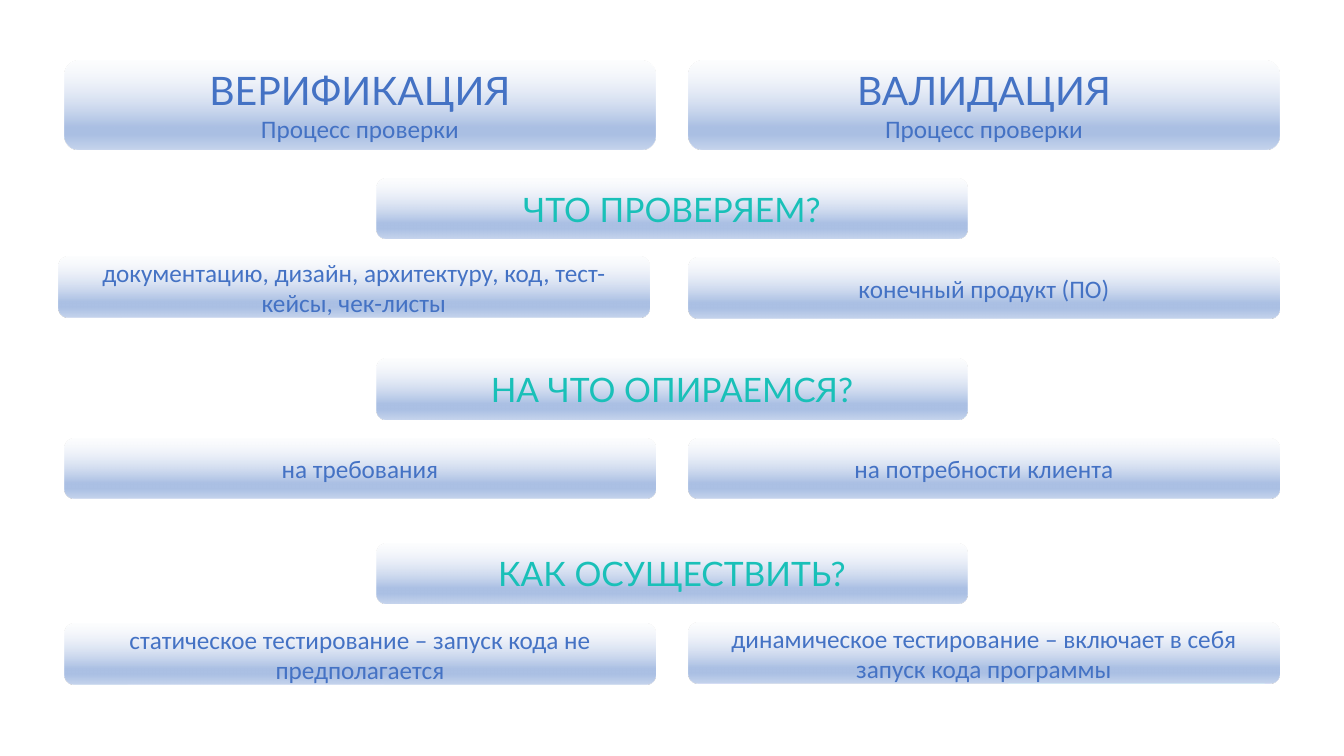
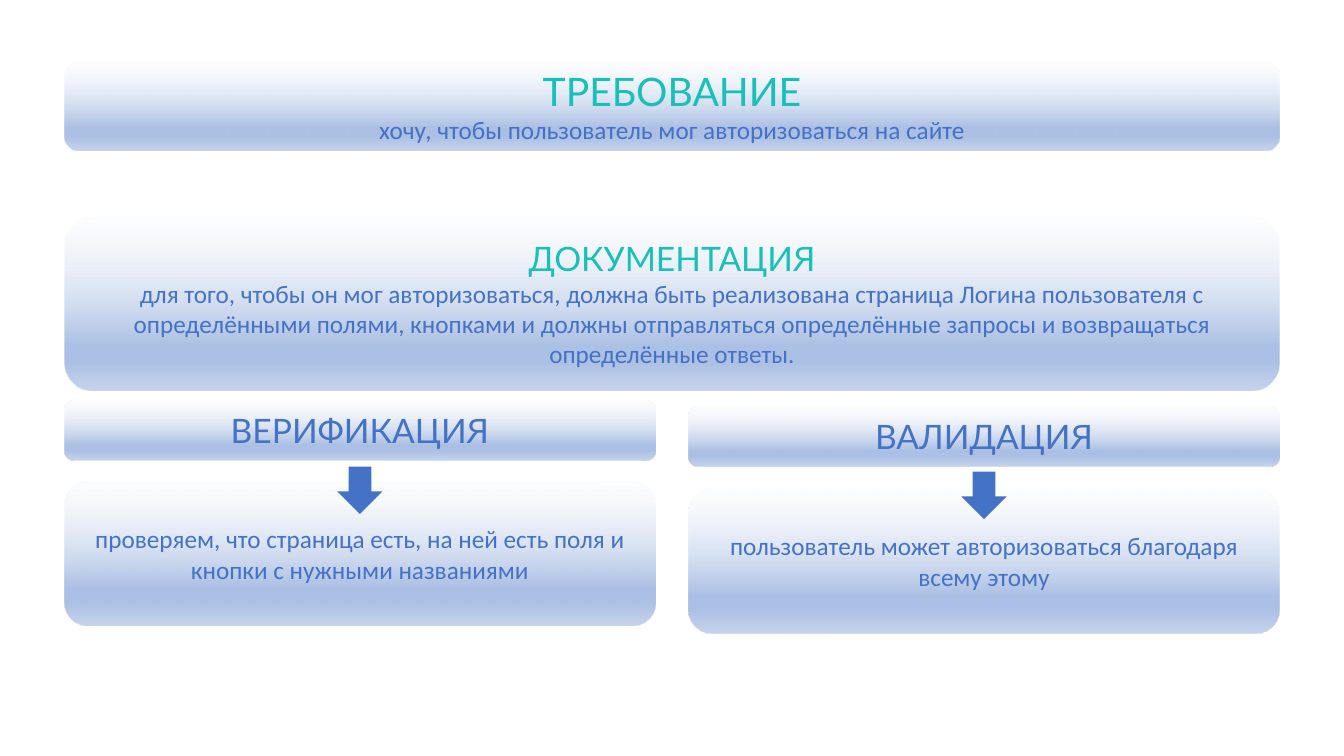
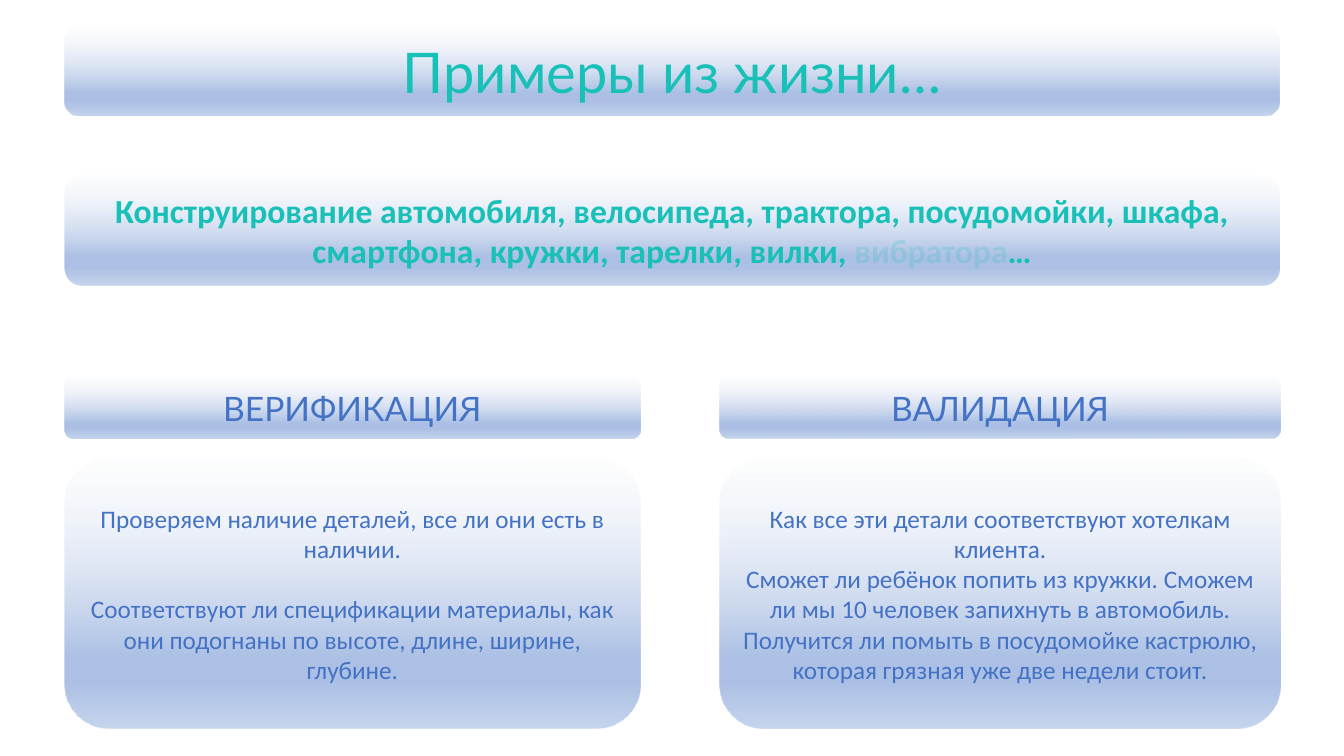
from dataclasses import dataclass

import pptx
import pptx.dml.color
import pptx.enum.shapes
import pptx.enum.text
import pptx.oxml.ns
import pptx.util
from lxml import etree

Inches = pptx.util.Inches
Shape = pptx.enum.shapes.MSO_SHAPE
qn = pptx.oxml.ns.qn


@dataclass(frozen=True)
class Theme:
    blue: str = "4472C4"
    teal: str = "19C0B8"
    # position, colour and opacity, all shares in percent
    gradient: tuple = ((0, "F6F8FC", 24), (74, "ABC0E4", 100),
                       (83, "ABC0E4", 100), (100, "C7D5ED", 100))
    display_font: str = "Lato"
    body_font: str = "Calibri"
    hero: int = 40
    title: int = 28
    heading: int = 24
    body: int = 18
    outline: float = 0.75


THEME = Theme()
SLIDE_WIDTH, SLIDE_HEIGHT = 13.33, 7.5
LEFT, FULL_WIDTH = 0.64, 12.05
HALF_WIDTH = 5.86
RIGHT = LEFT + FULL_WIDTH - HALF_WIDTH
BAR_HEIGHT, TITLE_HEIGHT = 0.6, 0.88
ARROW_WIDTH, ARROW_HEIGHT = 0.45, 0.47

BODY = dict(size=THEME.body, font=THEME.body_font, color=THEME.blue)
HEADING = dict(size=THEME.heading, font=THEME.display_font, color=THEME.blue)
TITLE = HEADING | dict(size=THEME.title)
ACCENT = HEADING | dict(color=THEME.teal, outlined=True)
ACCENT_TITLE = ACCENT | dict(size=THEME.title)
ACCENT_HERO = ACCENT | dict(size=THEME.hero)
ACCENT_BODY = ACCENT | dict(font=THEME.body_font, bold=True)


def add_opacity(color_element, opacity):
    if opacity < 100:
        etree.SubElement(color_element, qn("a:alpha"), val=str(opacity * 1000))


def add_text(paragraph, text, *, size, font, color, bold=False, outlined=False, opacity=100):
    run = paragraph.add_run()
    run.text = text
    run.font.size = pptx.util.Pt(size)
    run.font.name = font
    run.font.bold = bold
    run.font.color.rgb = pptx.dml.color.RGBColor.from_string(color)
    properties = run.font._element
    add_opacity(properties.find(qn("a:solidFill"))[0], opacity)
    if outlined:
        line = etree.Element(qn("a:ln"), w=str(pptx.util.Pt(THEME.outline)))
        fill = etree.SubElement(line, qn("a:solidFill"))
        add_opacity(etree.SubElement(fill, qn("a:srgbClr"), val=THEME.blue), opacity)
        properties.insert(0, line)


class Deck:
    def __init__(self):
        self.presentation = pptx.Presentation()
        self.presentation.slide_width = Inches(SLIDE_WIDTH)
        self.presentation.slide_height = Inches(SLIDE_HEIGHT)
        self.slide = None

    def new_slide(self):
        self.slide = self.presentation.slides.add_slide(self.presentation.slide_layouts[6])

    def add_shape(self, kind, left, top, width, height):
        shape = self.slide.shapes.add_shape(
            kind, Inches(left), Inches(top), Inches(width), Inches(height))
        shape.shadow.inherit = False
        shape.line.fill.background()
        return shape

    def card(self, left, top, width, height, *lines, gap=0):
        """Gradient card; each line is a list of (text, format), with gap points between lines."""
        shape = self.add_shape(Shape.ROUNDED_RECTANGLE, left, top, width, height)
        shape.fill.gradient()
        shape.fill.gradient_angle = 270
        stops = shape._element.spPr.find(qn("a:gradFill")).find(qn("a:gsLst"))
        for stop in list(stops):
            stops.remove(stop)
        for position, color, opacity in THEME.gradient:
            stop = etree.SubElement(stops, qn("a:gs"), pos=str(position * 1000))
            add_opacity(etree.SubElement(stop, qn("a:srgbClr"), val=color), opacity)

        frame = shape.text_frame
        frame.word_wrap = True
        frame.vertical_anchor = pptx.enum.text.MSO_ANCHOR.MIDDLE
        for index, line in enumerate(lines):
            paragraph = frame.add_paragraph() if index else frame.paragraphs[0]
            paragraph.alignment = pptx.enum.text.PP_ALIGN.CENTER
            if index and gap:
                paragraph.space_before = pptx.util.Pt(gap)
            for text, text_format in line:
                add_text(paragraph, text, **text_format)

    def bar(self, left, top, width, text, text_format):
        self.card(left, top, width, BAR_HEIGHT, [(text, text_format)])

    def down_arrow(self, center, top):
        shape = self.add_shape(Shape.DOWN_ARROW, center - ARROW_WIDTH / 2, top,
                               ARROW_WIDTH, ARROW_HEIGHT)
        shape.fill.solid()
        shape.fill.fore_color.rgb = pptx.dml.color.RGBColor.from_string(THEME.blue)


def build_comparison(deck):
    deck.new_slide()
    for left, name in ((LEFT, "ВЕРИФИКАЦИЯ"), (RIGHT, "ВАЛИДАЦИЯ")):
        deck.card(left, 0.6, HALF_WIDTH, TITLE_HEIGHT,
                  [(name, TITLE)], [("Процесс проверки", BODY)])
    questions = (
        (1.77, "ЧТО ПРОВЕРЯЕМ?",
         (0.58, 2.55, "документацию, дизайн, архитектуру, код, тест-кейсы, чек-листы"),
         (RIGHT, 2.56, "конечный продукт (ПО)")),
        (3.56, "НА ЧТО ОПИРАЕМСЯ?",
         (LEFT, 4.35, "на требования"),
         (RIGHT, 4.35, "на потребности клиента")),
        (5.39, "КАК ОСУЩЕСТВИТЬ?",
         (LEFT, 6.19, "статическое тестирование – запуск кода не предполагается"),
         (RIGHT, 6.18, "динамическое тестирование – включает в себя запуск кода программы")),
    )
    for question_top, question, *answers in questions:
        deck.bar((SLIDE_WIDTH - HALF_WIDTH) / 2, question_top, HALF_WIDTH, question, ACCENT)
        for left, top, answer in answers:
            deck.bar(left, top, HALF_WIDTH, answer, BODY)


def build_requirement(deck):
    deck.new_slide()
    deck.card(LEFT, 0.61, FULL_WIDTH, TITLE_HEIGHT, [("ТРЕБОВАНИЕ", ACCENT_TITLE)],
              [("хочу, чтобы пользователь мог авторизоваться на сайте", BODY)])
    deck.card(LEFT, 2.15, FULL_WIDTH, 1.72, [("ДОКУМЕНТАЦИЯ", ACCENT)],
              [("для того, чтобы он мог авторизоваться, должна быть реализована страница "
                "Логина пользователя с определёнными полями, кнопками и должны отправляться "
                "определённые запросы и возвращаться определённые ответы.", BODY)])
    columns = (
        (LEFT, 3.97, 4.78, 4.63, "ВЕРИФИКАЦИЯ",
         "проверяем, что страница есть, на ней есть поля и кнопки с нужными названиями"),
        (RIGHT, 4.03, 4.85, 4.68, "ВАЛИДАЦИЯ",
         "пользователь может авторизоваться благодаря всему этому"),
    )
    for left, heading_top, card_top, arrow_top, heading, text in columns:
        deck.bar(left, heading_top, HALF_WIDTH, heading, HEADING)
        deck.card(left, card_top, HALF_WIDTH, 1.43, [(text, BODY)])
        deck.down_arrow(left + HALF_WIDTH / 2, arrow_top)


def build_examples(deck):
    deck.new_slide()
    deck.card(LEFT, 0.27, FULL_WIDTH, TITLE_HEIGHT, [("Примеры из жизни…", ACCENT_HERO)])
    deck.card(LEFT, 1.74, FULL_WIDTH, 1.09, [
        ("Конструирование автомобиля, велосипеда, трактора, посудомойки, шкафа, "
         "смартфона, кружки, тарелки, вилки, ", ACCENT_BODY),
        ("вибратора", ACCENT_BODY | dict(opacity=20)),
        ("…", ACCENT_BODY)])
    columns = (
        (LEFT, 5.71, "ВЕРИФИКАЦИЯ", THEME.body * 1.2,
         ("Проверяем наличие деталей, все ли они есть в наличии.",
          "Соответствуют ли спецификации материалы, как они подогнаны по высоте, "
          "длине, ширине, глубине.")),
        (7.14, 5.56, "ВАЛИДАЦИЯ", 0,
         ("Как все эти детали соответствуют хотелкам клиента.",
          "Сможет ли ребёнок попить из кружки. Сможем ли мы 10 человек запихнуть в "
          "автомобиль. Получится ли помыть в посудомойке кастрюлю, которая грязная "
          "уже две недели стоит.")),
    )
    for left, width, heading, gap, texts in columns:
        deck.bar(left, 3.75, width, heading, HEADING)
        deck.card(left, 4.55, width, 2.68, *([(text, BODY)] for text in texts), gap=gap)


def main():
    deck = Deck()
    build_comparison(deck)
    build_requirement(deck)
    build_examples(deck)
    deck.presentation.save("out.pptx")


if __name__ == "__main__":
    main()
